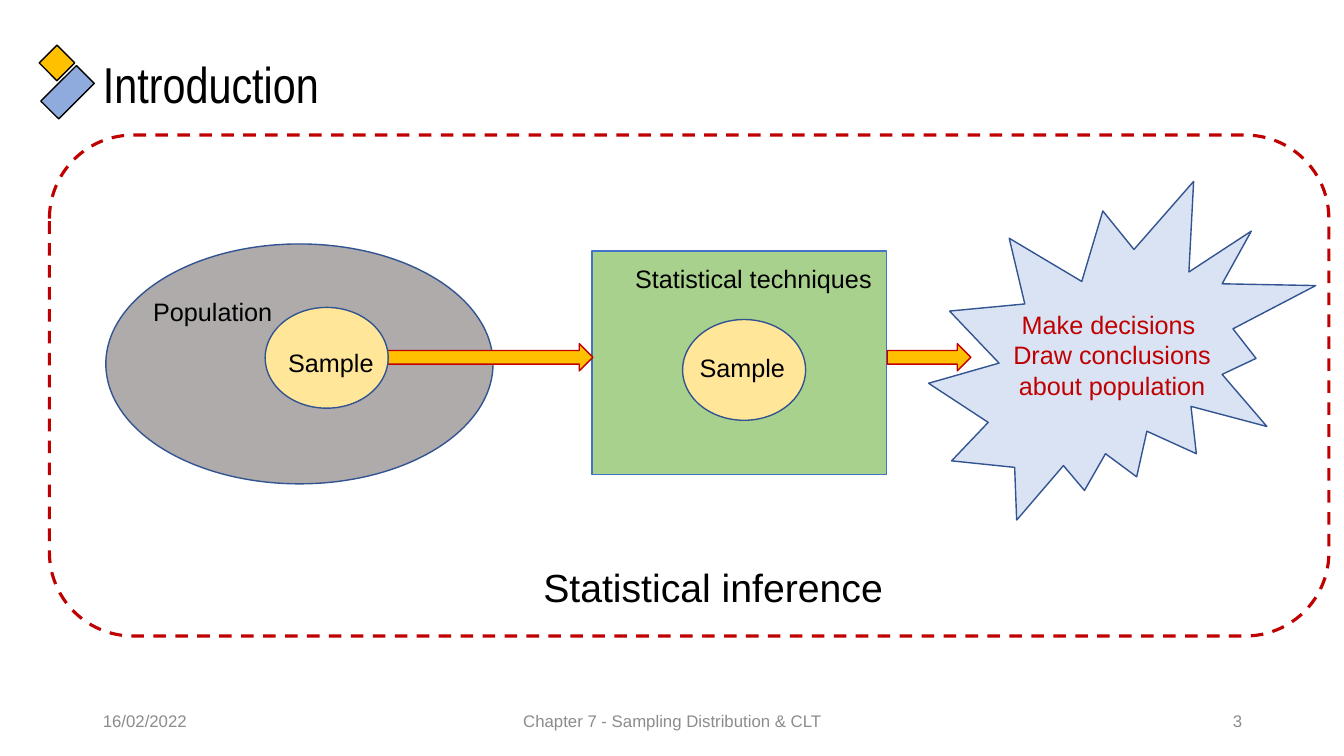
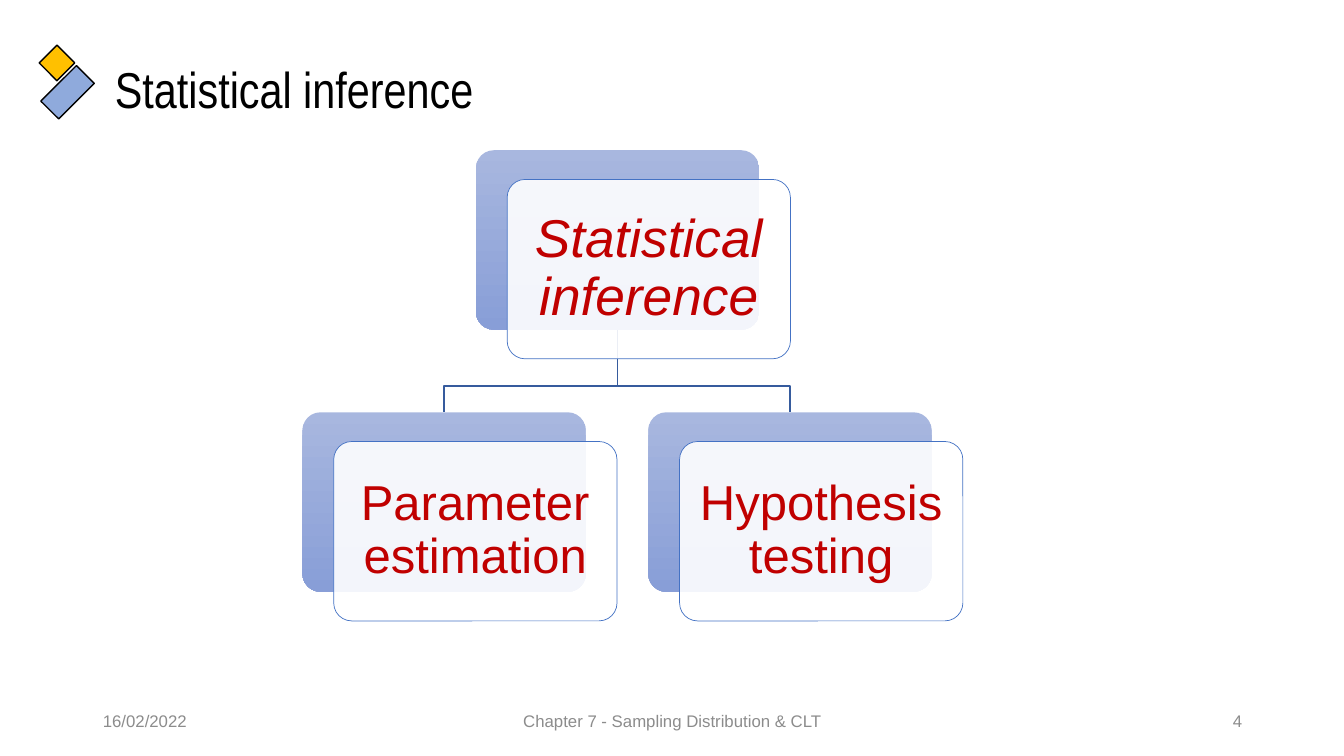
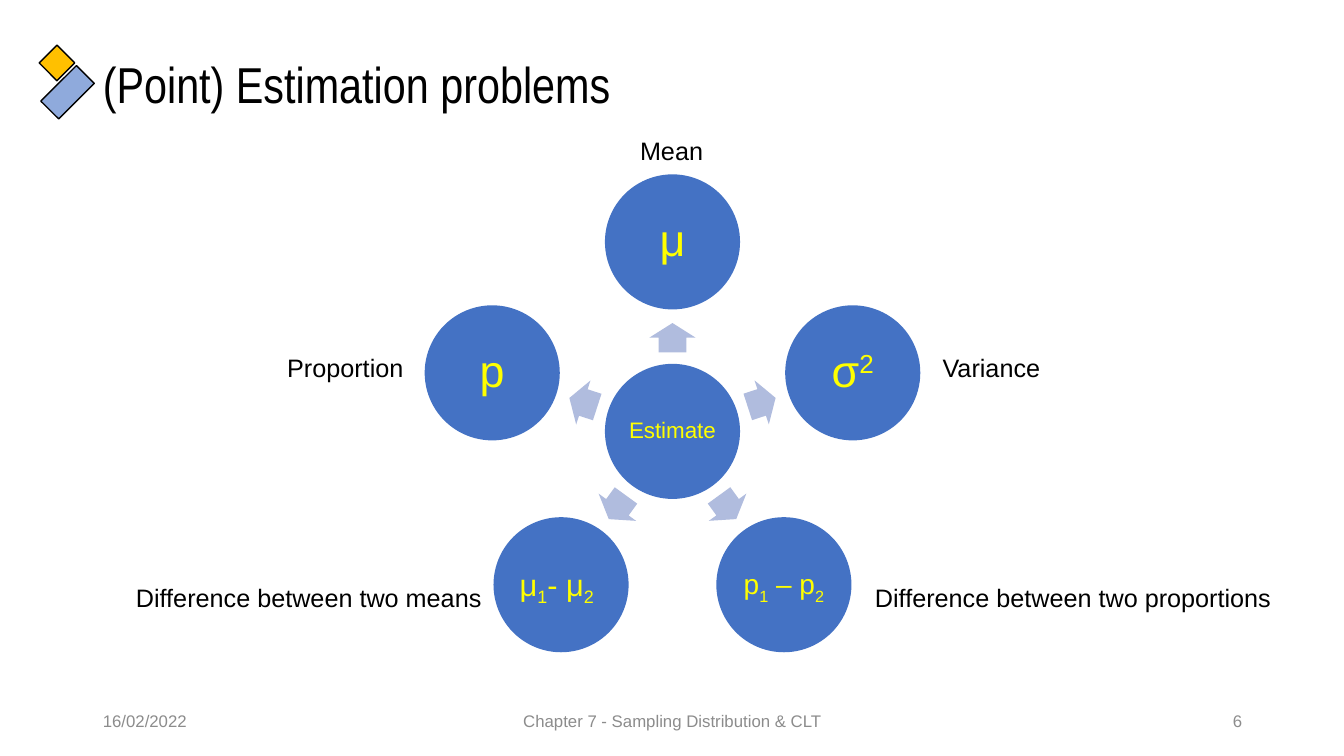
from copy import deepcopy
from math import cos, radians, sin

from lxml import etree
from pptx import Presentation
from pptx.dml.color import RGBColor
from pptx.enum import dml, shapes, text
from pptx.oxml.ns import qn
from pptx.util import Inches, Pt

BLACK, RED, YELLOW, BLUE = "000000", "C00000", "FFFF00", "4472C4"
GOLD, CREAM, NAVY, GREY = "FFC000", "FFE699", "325491", "8C8C8C"
KIND, ALIGN = shapes.MSO_SHAPE, text.PP_ALIGN
rgb = RGBColor.from_string


def draw(s, kind, box, fill=None, line=None, width=1):
    """Add a preset shape; no fill or line colour means none is drawn."""
    sp = s.shapes.add_shape(kind, *map(Inches, box))
    sp.shadow.inherit = False
    for part, colour in ((sp.fill, fill), (sp.line.fill, line)):
        if colour:
            part.solid()
            part.fore_color.rgb = rgb(colour)
        else:
            part.background()
    if line:
        sp.line.width = Pt(width)
    return sp


def write(sp, lines, size, colour=BLACK, align=ALIGN.LEFT, font="Arial", spacing=1.0):
    """Fill a shape with lines, each a string or a list of (text, baseline) runs."""
    tf = sp.text_frame
    for i, line in enumerate(lines):
        p = tf.add_paragraph() if i else tf.paragraphs[0]
        p.alignment, p.line_spacing = align, spacing
        p.font.size, p.font.name = Pt(size), font
        p.font.color.rgb = rgb(colour)
        for words, baseline in [(line, 0)] if isinstance(line, str) else line:
            r = p.add_run()
            r.text = words
            if baseline:
                r.font._element.set("baseline", str(baseline * 1000))
    return tf


prs = Presentation()
prs.slide_width, prs.slide_height = Inches(13.33), Inches(7.5)
layout = prs.slide_layouts[5]

# Shared layout: title and footer places, then the corner ornament
PH = shapes.PP_PLACEHOLDER
places = {
    PH.TITLE: (0.92, 0.14, 11.5, 1.45),
    PH.DATE: (0.92, 6.95, 3, 0.4),
    PH.FOOTER: (4.42, 6.95, 4.5, 0.4),
    PH.SLIDE_NUMBER: (9.42, 6.95, 3, 0.4),
}
footers = {}
for ph in layout.placeholders:
    kind = ph.placeholder_format.type
    ph.left, ph.top, ph.width, ph.height = map(Inches, places[kind])
    if kind != PH.TITLE:
        footers[kind] = ph

slides = []
for title, number in (("Introduction", "3"), ("Statistical inference", "4"),
                      ("(Point) Estimation problems", "6")):
    s = prs.slides.add_slide(layout)
    write(s.shapes.title, [title], 36, font="Arial Narrow", spacing=0.9)
    for kind, words, align in (
        (PH.DATE, "16/02/2022", ALIGN.LEFT),
        (PH.FOOTER, "Chapter 7 - Sampling Distribution & CLT", ALIGN.CENTER),
        (PH.SLIDE_NUMBER, number, ALIGN.RIGHT),
    ):
        s.shapes._spTree.append(deepcopy(footers[kind]._element))
        footer = s.shapes[-1]
        footer.text_frame.clear()
        write(footer, [words], 12, GREY, align)
    slides.append(s)
intro, inference, estimation = slides

for box, turn, fill in (((0.42, 0.79, 0.5, 0.25), 135, "8FAADC"),
                        ((0.44, 0.5, 0.25, 0.25), 45, GOLD)):
    sp = draw(intro, KIND.RECTANGLE, box, fill, BLACK)
    sp.rotation = turn
    layout.shapes._spTree.append(sp._element)

# Introduction: from population to decisions
for kind, box, fill, line in (
    (KIND.RECTANGLE, (5.87, 2.49, 2.92, 2.22), "A9D18E", BLUE),
    (KIND.OVAL, (1.05, 2.42, 3.84, 2.38), "AFABAB", NAVY),
    (KIND.OVAL, (6.77, 3.17, 1.22, 1), CREAM, NAVY),
    (KIND.RIGHT_ARROW, (3.66, 3.41, 2.22, 0.27), GOLD, RED),
    (KIND.OVAL, (2.63, 3.05, 1.22, 1), CREAM, NAVY),
    (KIND.RIGHT_ARROW, (8.8, 3.41, 0.83, 0.27), GOLD, RED),
    (KIND.EXPLOSION2, (9.21, 1.8, 3.84, 3.36), "DAE3F3", NAVY),
):
    draw(intro, kind, box, fill, line)
frame = draw(intro, KIND.ROUNDED_RECTANGLE, (0.49, 1.34, 12.69, 4.97), None, RED, 2.25)
frame.line.dash_style = dml.MSO_LINE.DASH

outcome = intro.shapes.add_textbox(*map(Inches, (9.93, 3.02, 2.2, 1.01)))
outcome.text_frame.word_wrap = True
write(outcome, ["Make decisions ", "Draw conclusions about population"], 18, RED, ALIGN.CENTER)

# Statistical inference: a root card above two branches
CARD_W, CARD_H, SHIFT_X, SHIFT_Y = 2.81, 1.78, 0.31, 0.29
ROOT_X, ROOT_Y, BRANCH_Y, BRANCH_XS = 4.72, 1.49, 4.09, (3, 6.43)
stem_x, stem_y = ROOT_X + CARD_W / 2, ROOT_Y + CARD_H
for x in BRANCH_XS:
    end_x = x + CARD_W / 2
    points = [(Inches(px), Inches(py)) for px, py in (
        (stem_x, stem_y), (stem_x, 3.83), (end_x, 3.83), (end_x, BRANCH_Y))]
    path = inference.shapes.build_freeform(*points[0])
    path.add_line_segments(points[1:], close=False)
    sp = path.convert_to_shape()
    sp.shadow.inherit = False
    sp.fill.background()
    sp.line.color.rgb = rgb("365B9D")
    sp.line.width = Pt(1)

for x, y, words, size in (
    (ROOT_X, ROOT_Y, "Statistical inference", 38),
    (BRANCH_XS[0], BRANCH_Y, "Parameter estimation", 35),
    (BRANCH_XS[1], BRANCH_Y, "Hypothesis testing", 35),
):
    back = draw(inference, KIND.ROUNDED_RECTANGLE, (x, y, CARD_W, CARD_H))
    back.fill.gradient()
    back.fill.gradient_angle = 270
    for stop, colour in zip(back.fill.gradient_stops, ("A8B7DF", "889ED7")):
        stop.color.rgb = rgb(colour)
    card = draw(inference, KIND.ROUNDED_RECTANGLE,
                (x + SHIFT_X, y + SHIFT_Y, CARD_W, CARD_H), "FFFFFF", BLUE, 0.5)
    white = card._element.spPr.find(qn("a:solidFill")).find(qn("a:srgbClr"))
    etree.SubElement(white, qn("a:alpha"), val="90000")
    back.adjustments[0] = card.adjustments[0] = 0.1
    tf = write(card, [words], size, RED, ALIGN.CENTER, spacing=0.9)
    tf.margin_left = tf.margin_right = tf.margin_top = tf.margin_bottom = Inches(0.1)
    tf.paragraphs[0].font.italic = y == ROOT_Y
inference.shapes.title.left, inference.shapes.title.top = Inches(1.04), Inches(0.19)
inference.shapes.title.width, inference.shapes.title.height = Inches(11.5), Inches(1.45)

# Estimation problems: five circles round a hub, clockwise from the top
HUB_X, HUB_Y, DIAMETER, ORBIT, ARROW_ORBIT = 6.67, 4.28, 1.34, 1.88, 0.93
ARROW_W, ARROW_H = 0.29, 0.46
targets = (
    ("μ", 32),
    ([("σ", 0), ("2", 30)], 32),
    ([("p", 0), ("1", -25), (" – p", 0), ("2", -25)], 20),
    ([("μ", 0), ("1", -25), ("- μ", 0), ("2", -25), (" ", 0)], 22),
    ("p", 32),
)
circles = [("Estimate", 16, HUB_X, HUB_Y)]
for i, (symbol, size) in enumerate(targets):
    turn = i * 360 / len(targets) - 90
    dx, dy = cos(radians(turn)), sin(radians(turn))
    circles.append((symbol, size, HUB_X + ORBIT * dx, HUB_Y + ORBIT * dy))
    arrow = draw(estimation, KIND.RIGHT_ARROW,
                 (HUB_X + ARROW_ORBIT * dx - ARROW_W / 2,
                  HUB_Y + ARROW_ORBIT * dy - ARROW_H / 2, ARROW_W, ARROW_H), "B0BCDE")
    arrow.adjustments[0] = 0.6
    arrow.rotation = turn
for symbol, size, x, y in circles:
    circle = draw(estimation, KIND.OVAL,
                  (x - DIAMETER / 2, y - DIAMETER / 2, DIAMETER, DIAMETER), BLUE)
    tf = write(circle, [symbol], size, YELLOW, ALIGN.CENTER, spacing=0.9)
    tf.margin_left = tf.margin_right = tf.margin_top = tf.margin_bottom = Inches(0.03)

# Free labels
for s, words, size, box in (
    (intro, "Population", 18, (1.42, 2.89, 1.39, 0.4)),
    (intro, "Sample", 18, (2.76, 3.4, 1.06, 0.4)),
    (intro, "Sample", 18, (6.84, 3.45, 1.06, 0.4)),
    (intro, "Statistical techniques", 18, (6.2, 2.56, 2.57, 0.4)),
    (intro, "Statistical inference", 28, (5.29, 5.54, 3.61, 0.57)),
    (estimation, "Proportion", 18, (2.75, 3.45, 1.37, 0.4)),
    (estimation, "Difference between two proportions", 18, (8.58, 5.73, 4.17, 0.4)),
    (estimation, "Difference between two means", 18, (1.25, 5.73, 3.66, 0.4)),
    (estimation, "Variance", 18, (9.25, 3.45, 1.18, 0.4)),
    (estimation, "Mean", 18, (6.25, 1.29, 0.83, 0.4)),
):
    tf = write(s.shapes.add_textbox(*map(Inches, box)), [words], size)
    tf.word_wrap = False
    tf.auto_size = text.MSO_AUTO_SIZE.SHAPE_TO_FIT_TEXT

prs.save("out.pptx")
